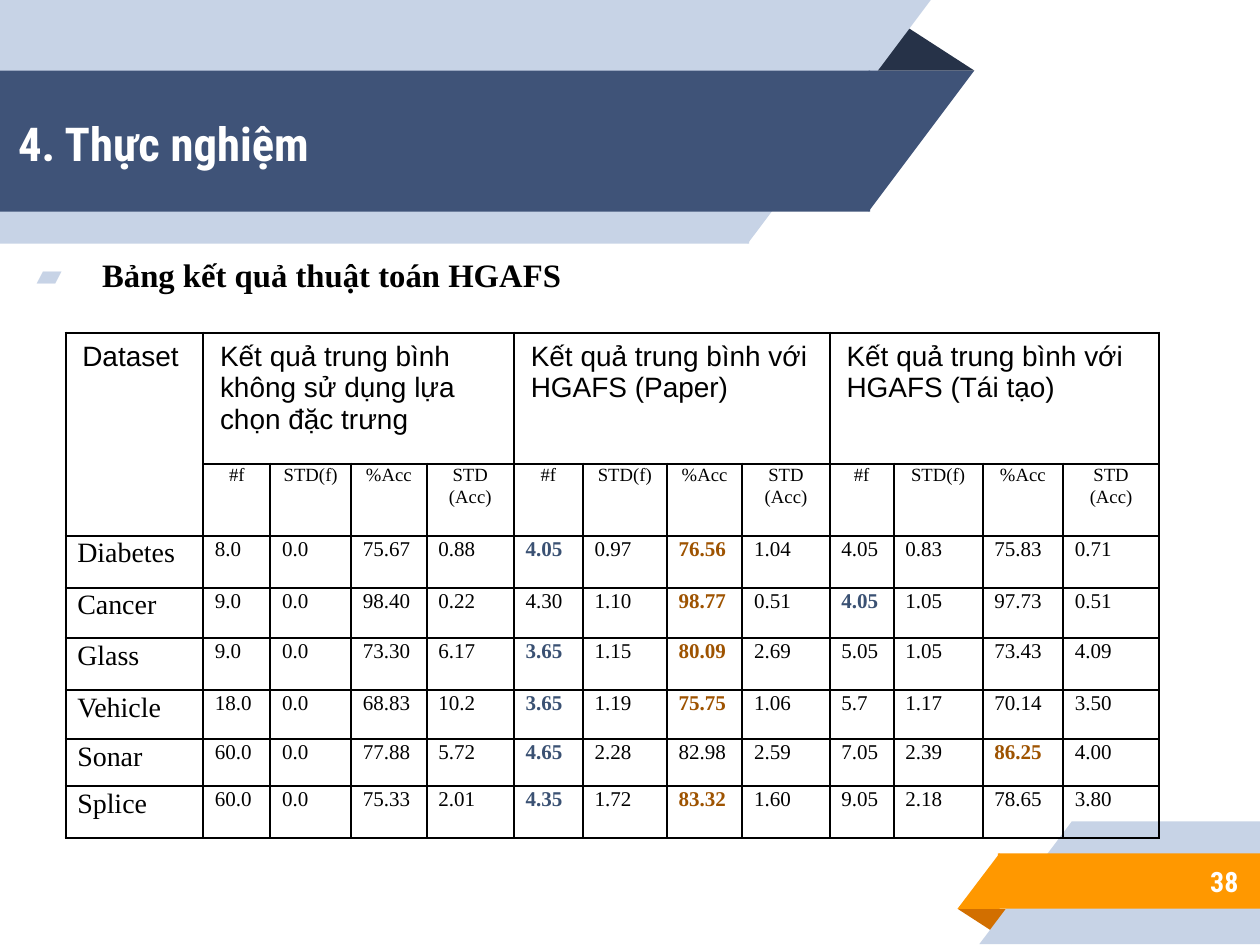
from lxml.etree import SubElement
from pptx import Presentation
from pptx.dml.color import RGBColor
from pptx.enum.shapes import MSO_SHAPE
from pptx.enum.text import MSO_ANCHOR, PP_ALIGN
from pptx.oxml.ns import qn
from pptx.util import Inches, Pt

# Colours and fonts
WHITE = RGBColor(0xFF, 0xFF, 0xFF)
BLACK = RGBColor(0x00, 0x00, 0x00)
PALE_BLUE = RGBColor(0xC7, 0xD3, 0xE6)
NAVY = RGBColor(0x3F, 0x53, 0x78)
DARK_NAVY = RGBColor(0x26, 0x32, 0x48)
ORANGE = RGBColor(0xFF, 0x98, 0x00)
DARK_ORANGE = RGBColor(0xD2, 0x6F, 0x00)
FEWEST_FEATURES = RGBColor(0x3A, 0x51, 0x73)
BEST_ACCURACY = RGBColor(0x9E, 0x53, 0x00)
HEADING_FONT, SERIF, SANS = "Roboto Condensed", "Times New Roman", "Arial"

# Content
TITLE = "4. Thực nghiệm"
PAGE_NUMBER = "38"
SUBTITLE = "Bảng kết quả thuật toán HGAFS"
GROUPS = [
    "Kết quả trung bình không sử dụng lựa chọn đặc trưng",
    "Kết quả trung bình với HGAFS (Paper)",
    "Kết quả trung bình với HGAFS (Tái tạo)",
]
MEASURES = ["#f", "STD(f)", "%Acc", "STD\n(Acc)"]
RESULTS = [
    ("Diabetes", "8.0 0.0 75.67 0.88", "4.05 0.97 76.56 1.04", "4.05 0.83 75.83 0.71"),
    ("Cancer", "9.0 0.0 98.40 0.22", "4.30 1.10 98.77 0.51", "4.05 1.05 97.73 0.51"),
    ("Glass", "9.0 0.0 73.30 6.17", "3.65 1.15 80.09 2.69", "5.05 1.05 73.43 4.09"),
    ("Vehicle", "18.0 0.0 68.83 10.2", "3.65 1.19 75.75 1.06", "5.7 1.17 70.14 3.50"),
    ("Sonar", "60.0 0.0 77.88 5.72", "4.65 2.28 82.98 2.59", "7.05 2.39 86.25 4.00"),
    ("Splice", "60.0 0.0 75.33 2.01", "4.35 1.72 83.32 1.60", "9.05 2.18 78.65 3.80"),
]
COLUMN_WIDTHS = [0.82, 0.4, 0.48, 0.45, 0.52, 0.41, 0.5, 0.45, 0.52, 0.38, 0.53, 0.48, 0.57]
ROW_HEIGHTS = [0.78, 0.43, 0.31, 0.3, 0.31, 0.29, 0.28, 0.31]

# Ribbons, back to front: preset, left, top, width, height, colour, rotation
RECTANGLE, WEDGE, FOLD = MSO_SHAPE.RECTANGLE, MSO_SHAPE.RIGHT_TRIANGLE, MSO_SHAPE.ISOSCELES_TRIANGLE
RIBBONS = [
    (FOLD, 5.16, 0.14, 0.64, 0.28, DARK_NAVY, 0),
    (RECTANGLE, 0, 0, 4.46, 1.45, PALE_BLUE, 0),
    (WEDGE, 4.45, 0, 1.09, 1.45, PALE_BLUE, 180),
    (RECTANGLE, 0, 0.42, 5.18, 0.84, NAVY, 0),
    (WEDGE, 5.17, 0.42, 0.63, 0.84, NAVY, 180),
    (FOLD, 5.7, 5.41, 0.32, 0.14, DARK_ORANGE, 180),
    (RECTANGLE, 6.38, 4.89, 1.12, 0.73, PALE_BLUE, 0),
    (WEDGE, 5.83, 4.89, 0.55, 0.73, PALE_BLUE, 0),
    (RECTANGLE, 5.94, 5.08, 1.56, 0.33, ORANGE, 0),
    (WEDGE, 5.7, 5.08, 0.25, 0.33, ORANGE, 0),
]


def add_ribbon(slide, preset, left, top, width, height, color, rotation):
    shape = slide.shapes.add_shape(preset, Inches(left), Inches(top), Inches(width), Inches(height))
    shape.shadow.inherit = False
    shape.fill.solid()
    shape.fill.fore_color.rgb = color
    shape.line.fill.background()
    shape.rotation = rotation
    if preset == WEDGE:
        shape.element.spPr.find(qn("a:xfrm")).set("flipH", "1")
    elif preset == FOLD:
        shape.adjustments[0] = 0.324


def write(paragraph, text, size, font, color=BLACK, bold=False):
    for index, line in enumerate(text.split("\n")):
        if index:
            paragraph.add_line_break()
        run = paragraph.add_run()
        run.text = line
        run.font.size = Pt(size)
        run.font.name = font
        run.font.bold = bold
        run.font.color.rgb = color


def add_text_box(slide, left, top, width, height, anchor=MSO_ANCHOR.MIDDLE):
    box = slide.shapes.add_textbox(Inches(left), Inches(top), Inches(width), Inches(height))
    frame = box.text_frame
    frame.word_wrap = True
    frame.vertical_anchor = anchor
    frame.margin_left = frame.margin_right = frame.margin_top = frame.margin_bottom = Inches(0.1)
    return frame.paragraphs[0]


def add_bullet(paragraph, symbol, color):
    properties = paragraph._p.get_or_add_pPr()
    properties.set("marL", str(Inches(0.5)))
    properties.set("indent", str(Inches(-0.39)))
    bullet_color = SubElement(properties, qn("a:buClr"))
    SubElement(bullet_color, qn("a:srgbClr"), val=str(color))
    SubElement(properties, qn("a:buFont"), typeface=HEADING_FONT)
    SubElement(properties, qn("a:buChar"), char=symbol)


def outline_cell(cell):
    properties = cell._tc.get_or_add_tcPr()
    for side in ("lnL", "lnR", "lnT", "lnB"):
        border = SubElement(properties, qn("a:" + side), w=str(Pt(1)))
        fill = SubElement(border, qn("a:solidFill"))
        SubElement(fill, qn("a:srgbClr"), val=str(BLACK))
    cell.fill.background()


def write_compact(cell, text, size, alignment, color=BLACK, bold=False):
    cell.margin_left = cell.margin_right = Inches(0.07)
    cell.margin_top = cell.margin_bottom = 0
    paragraph = cell.text_frame.paragraphs[0]
    paragraph.alignment = alignment
    paragraph.line_spacing = 1.07
    paragraph.space_after = Pt(8)
    write(paragraph, text, size, SERIF, color, bold)


def add_results_table(slide):
    frame = slide.shapes.add_table(
        len(ROW_HEIGHTS), len(COLUMN_WIDTHS), Inches(0.39), Inches(1.98),
        Inches(sum(COLUMN_WIDTHS)), Inches(sum(ROW_HEIGHTS)))
    table = frame.table
    table.first_row = table.horz_banding = False
    for column, width in zip(table.columns, COLUMN_WIDTHS):
        column.width = Inches(width)
    for row, height in zip(table.rows, ROW_HEIGHTS):
        row.height = Inches(height)
    for cell in table.iter_cells():
        outline_cell(cell)

    # Two header rows
    table.cell(0, 0).merge(table.cell(1, 0))
    write(table.cell(0, 0).text_frame.paragraphs[0], "Dataset", 12, SANS)
    span = len(MEASURES)
    for group_index, group in enumerate(GROUPS):
        first = 1 + group_index * span
        table.cell(0, first).merge(table.cell(0, first + span - 1))
        write(table.cell(0, first).text_frame.paragraphs[0], group, 12, SANS)
        for offset, measure in enumerate(MEASURES):
            write_compact(table.cell(1, first + offset), measure, 8, PP_ALIGN.CENTER)

    # Results: the first lowest #f and the highest %Acc of each row stand out
    for row_index, (dataset, *groups) in enumerate(RESULTS, start=2):
        write_compact(table.cell(row_index, 0), dataset, 12, PP_ALIGN.JUSTIFY)
        values = " ".join(groups).split()
        features, accuracies = values[0::span], values[2::span]
        highlights = {
            features.index(min(features, key=float)) * span: FEWEST_FEATURES,
            accuracies.index(max(accuracies, key=float)) * span + 2: BEST_ACCURACY,
        }
        for index, value in enumerate(values):
            write_compact(table.cell(row_index, index + 1), value, 9, PP_ALIGN.JUSTIFY,
                          highlights.get(index, BLACK), index in highlights)


def main():
    # Slide in 4:3 format
    presentation = Presentation()
    presentation.slide_width = Inches(7.5)
    presentation.slide_height = Inches(7.5) * 3 // 4
    slide = presentation.slides.add_slide(presentation.slide_layouts[6])

    for ribbon in RIBBONS:
        add_ribbon(slide, *ribbon)

    # Title, page number and subtitle
    write(add_text_box(slide, 0.01, 0.43, 5.37, 0.84), TITLE, 20, HEADING_FONT, WHITE, True)
    number = add_text_box(slide, 6.25, 5.07, 1.22, 0.35)
    number.alignment = PP_ALIGN.RIGHT
    write(number, PAGE_NUMBER, 12, HEADING_FONT, WHITE, True)
    subtitle = add_text_box(slide, 0.01, 1.42, 7.26, 0.64, MSO_ANCHOR.TOP)
    subtitle.space_before = Pt(6)
    add_bullet(subtitle, "▰", PALE_BLUE)
    write(subtitle, SUBTITLE, 14, SERIF, bold=True)

    add_results_table(slide)
    presentation.save("out.pptx")


if __name__ == "__main__":
    main()
